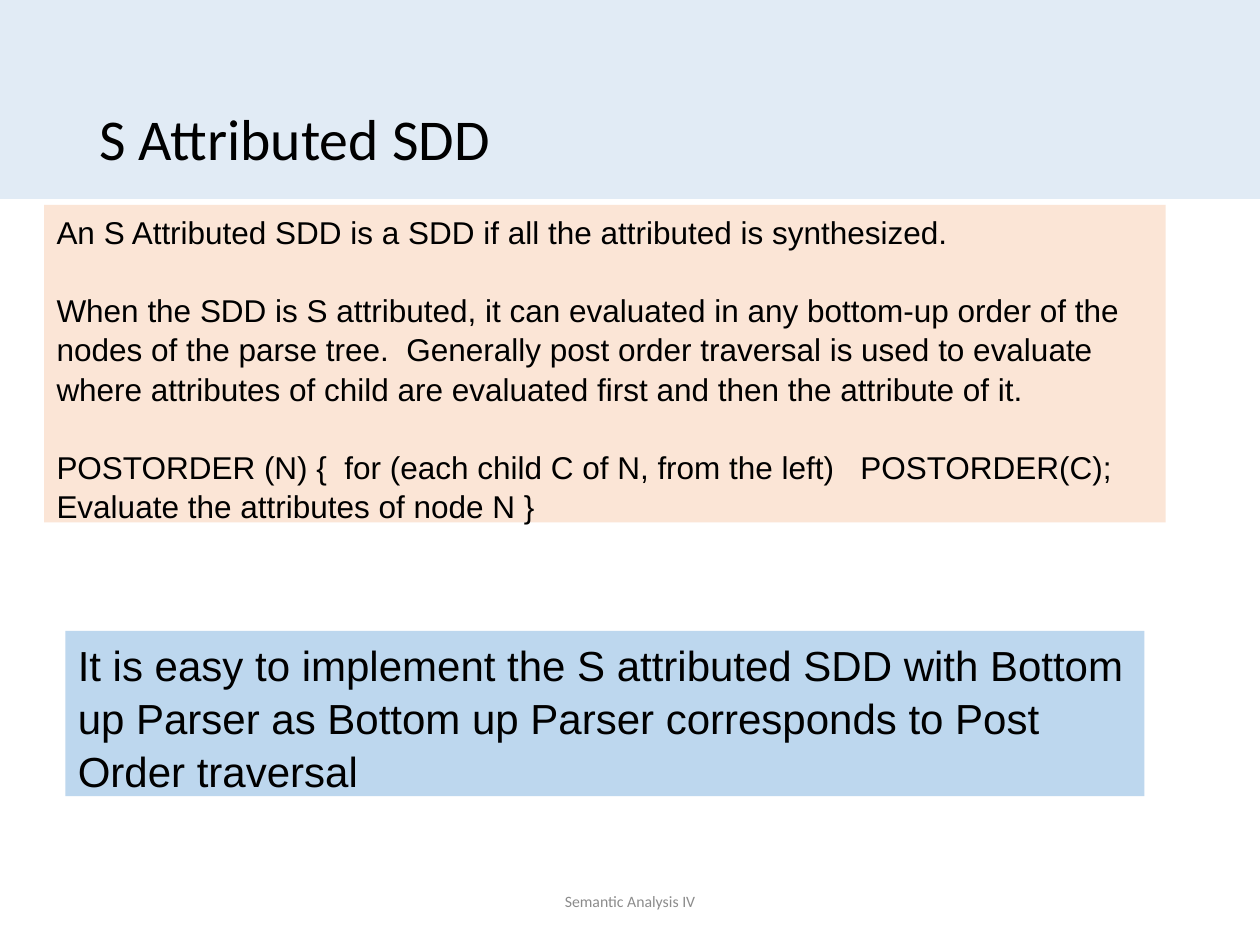
import pptx
import pptx.dml.color
import pptx.enum.shapes
import pptx.enum.text
import pptx.util
from pptx.util import Cm

COLOURS = {
    "band": "E1EBF5",
    "definition": "FBE5D6",
    "remark": "BDD7EE",
    "text": "000000",
    "footer": "8C8C8C",
}
ALIGN = pptx.enum.text.PP_ALIGN
ANCHOR = pptx.enum.text.MSO_ANCHOR


def colour(name):
    return pptx.dml.color.RGBColor.from_string(COLOURS[name])


def write_text(box, paragraphs, size=18, font="Arial", ink="text", align=ALIGN.LEFT,
               anchor=ANCHOR.TOP, line_spacing=1.0, gap=0):
    """Fill a box with paragraphs, leaving a gap in points between them."""
    frame = box.text_frame
    frame.word_wrap = True
    frame.vertical_anchor = anchor
    for index, text in enumerate(paragraphs):
        para = frame.add_paragraph() if index else frame.paragraphs[0]
        para.alignment = align
        para.line_spacing = line_spacing
        para.space_before = pptx.util.Pt(gap if index else 0)
        span = para.add_run()
        span.text = text
        span.font.size = pptx.util.Pt(size)
        span.font.name = font
        span.font.color.rgb = colour(ink)


class SlideBuilder:
    heading_font = "Calibri"
    body_spacing = 1.05

    def __init__(self, page):
        self.page = page

    def panel(self, left, top, width, height, fill):
        box = self.page.shapes.add_shape(
            pptx.enum.shapes.MSO_SHAPE.RECTANGLE,
            Cm(left), Cm(top), Cm(width), Cm(height))
        box.shadow.inherit = False
        box.fill.solid()
        box.fill.fore_color.rgb = colour(fill)
        box.line.fill.background()
        return box

    def text_panel(self, left, top, width, height, fill, paragraphs, **text_format):
        box = self.panel(left, top, width, height, fill)
        write_text(box, paragraphs, line_spacing=self.body_spacing, **text_format)

    def label(self, left, top, width, height, text, **text_format):
        box = self.page.shapes.add_textbox(Cm(left), Cm(top), Cm(width), Cm(height))
        write_text(box, [text], font=self.heading_font, anchor=ANCHOR.MIDDLE, **text_format)


def main():
    deck = pptx.Presentation()
    deck.slide_width, deck.slide_height = Cm(25.4), Cm(19.05)
    builder = SlideBuilder(deck.slides.add_slide(deck.slide_layouts[6]))

    # Title band
    builder.panel(0, 0, 25.4, 4.01, "band")
    builder.label(1.75, 1.02, 21.9, 3.68, "S Attributed SDD", size=33, line_spacing=0.9)

    # Footer
    builder.label(8.41, 17.65, 8.58, 1.02, "Semantic Analysis IV",
                  size=9, ink="footer", align=ALIGN.CENTER)

    # Definition and evaluation order
    builder.text_panel(0.89, 4.13, 22.61, 6.4, "definition", [
        "An S Attributed SDD is a SDD if all the attributed is synthesized.",
        "When the SDD is S attributed, it can evaluated in any bottom-up order of the "
        "nodes of the parse tree.  Generally post order traversal is used to evaluate "
        "where attributes of child are evaluated first and then the attribute of it.",
        "POSTORDER (N) {  for (each child C of N, from the left)   POSTORDER(C);  "
        "Evaluate the attributes of node N }",
    ], gap=21.7)

    # Remark on bottom-up parsing
    builder.text_panel(1.32, 12.72, 21.75, 3.33, "remark", [
        "It is easy to implement the S attributed SDD with Bottom up Parser as "
        "Bottom up Parser corresponds to Post Order traversal",
    ], size=24)

    deck.save("out.pptx")


if __name__ == "__main__":
    main()
